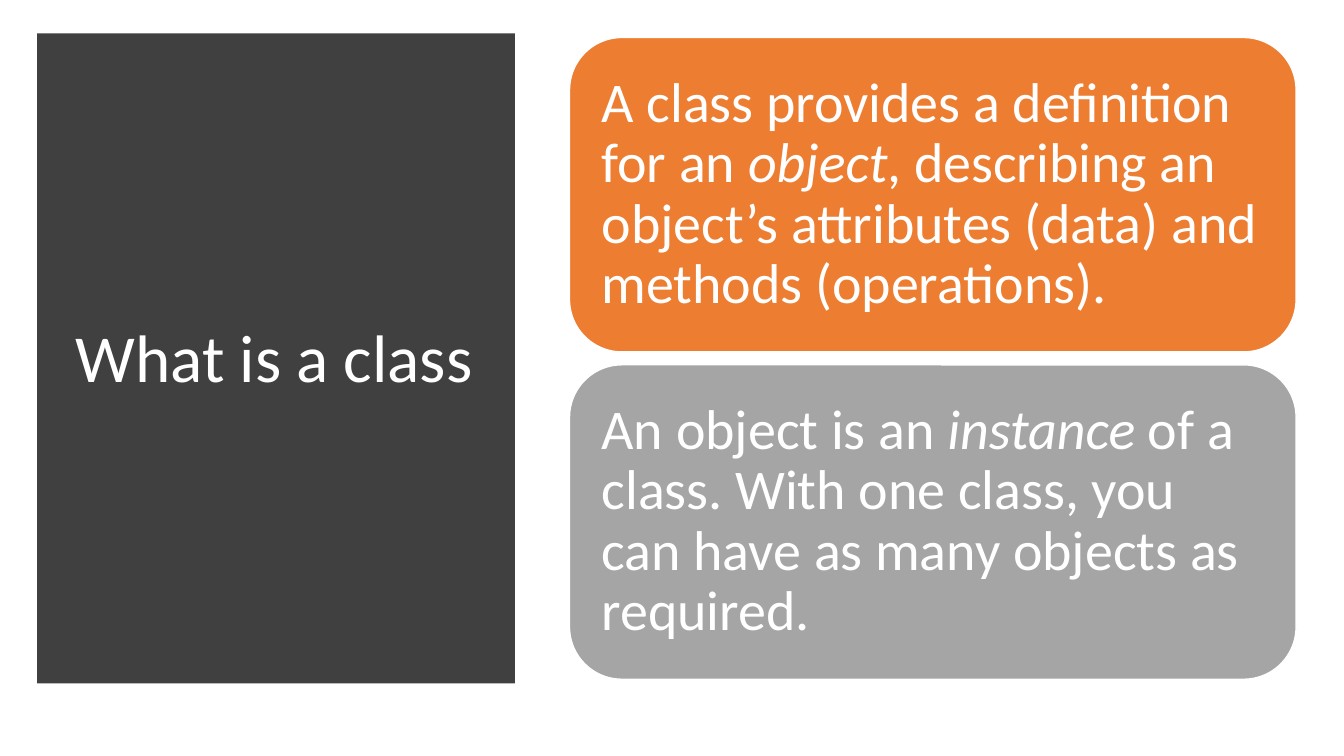
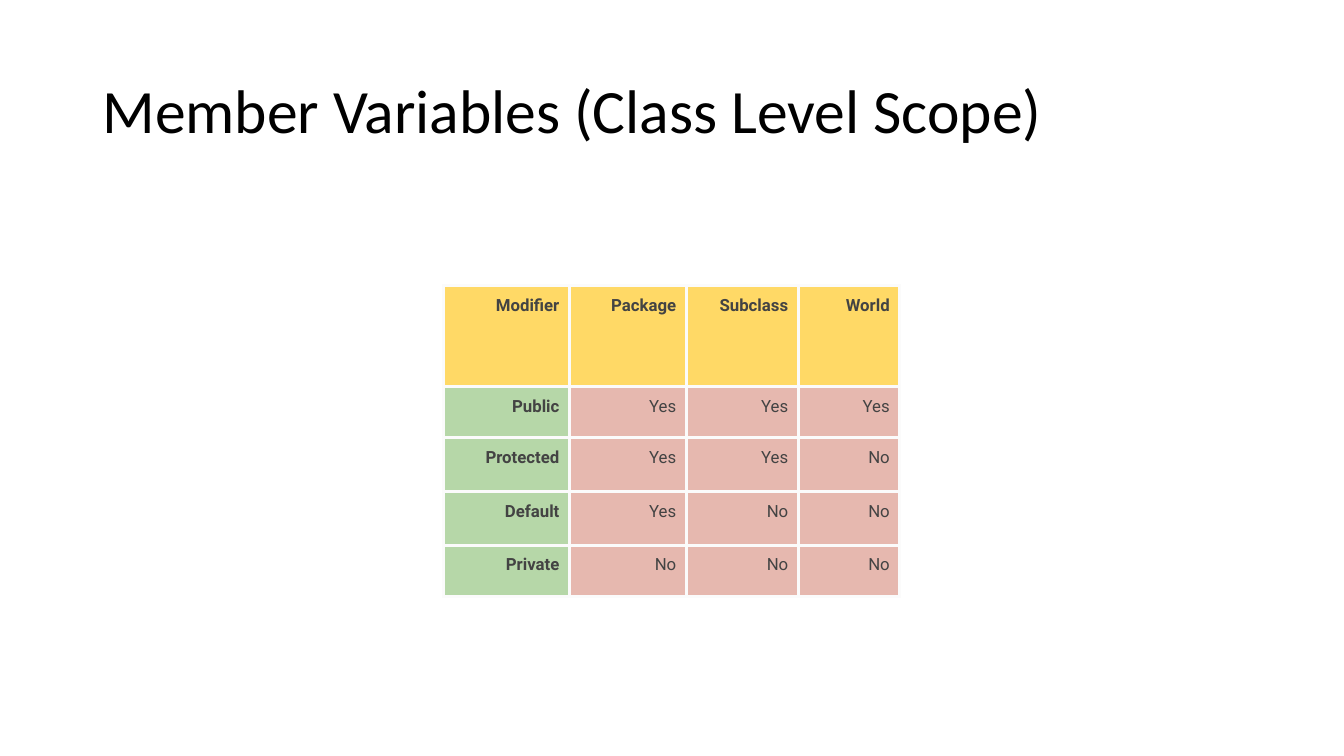
from pptx import Presentation
from pptx.dml.color import RGBColor
from pptx.enum.shapes import MSO_SHAPE as Shape
from pptx.enum.text import MSO_ANCHOR as Anchor, MSO_AUTO_SIZE as AutoSize, PP_ALIGN as Align
from pptx.oxml import parse_xml
from pptx.oxml.ns import nsdecls
from pptx.util import Pt

WHITE, BLACK, CHARCOAL, INK = "FFFFFF", "000000", "404040", "434343"
ORANGE, GREY = "ED7D31", "A5A5A5"
YELLOW, GREEN, PINK, BORDER = "FFD966", "B6D7A8", "E6B8AF", "FBFBFB"


def color(value):
    return RGBColor.from_string(value)


def titled_slide(text, box, size, ink):
    slide = deck.slides.add_slide(deck.slide_layouts[5])
    title = slide.shapes.title
    title.left, title.top, title.width, title.height = map(Pt, box)
    frame = title.text_frame
    frame.text = text
    frame.word_wrap = True
    frame.auto_size = AutoSize.NONE
    frame.vertical_anchor = Anchor.MIDDLE
    heading = frame.paragraphs[0]
    heading.alignment = Align.LEFT
    heading.line_spacing = 0.9
    heading.font.name = "Calibri"
    heading.font.size = Pt(size)
    heading.font.color.rgb = color(ink)
    return slide


deck = Presentation()
deck.slide_width, deck.slide_height = Pt(960), Pt(540)

class_slide = titled_slide("What is a class", (46.8, 50.4, 299.5, 414), 48, WHITE)
band = class_slide.shapes.add_shape(Shape.RECTANGLE, Pt(26.6), Pt(23.8), Pt(341.3), Pt(464.4))
band.shadow.inherit = False
band.fill.solid()
band.fill.fore_color.rgb = color(CHARCOAL)
band.line.color.rgb = color(CHARCOAL)
band.line.width = Pt(10)
band.line.fill.background()
class_slide.shapes.title.element.addprevious(band.element)

statements = [
    (ORANGE, "A class provides a definition for an ", "object",
     ", describing an object’s attributes (data) and methods (operations)."),
    (GREY, "An object is an ", "instance",
     " of a class. With one class, you can have as many objects as required."),
]
for index, (card_fill, before, term, after) in enumerate(statements):
    card = class_slide.shapes.add_shape(
        Shape.ROUNDED_RECTANGLE, Pt(406.8), Pt(26.8 + 233.8 * index), Pt(519), Pt(224.6))
    card.shadow.inherit = False
    card.fill.solid()
    card.fill.fore_color.rgb = color(card_fill)
    card.line.color.rgb = color(WHITE)
    card.line.width = Pt(1)
    frame = card.text_frame
    frame.word_wrap = True
    frame.vertical_anchor = Anchor.MIDDLE
    frame.margin_left = frame.margin_right = frame.margin_top = frame.margin_bottom = Pt(12)
    statement = frame.paragraphs[0]
    statement.alignment = Align.LEFT
    statement.line_spacing = 0.9
    statement.font.name = "Calibri"
    statement.font.size = Pt(40)
    statement.font.color.rgb = color(WHITE)
    for part in (before, term, after):
        run = statement.add_run()
        run.text = part
        if part == term:
            run.font.italic = True

scope_slide = titled_slide("Member Variables (Class Level Scope)", (66, 28.8, 828, 104.4), 44, BLACK)
access = [
    ("Modifier", "Package", "Subclass", "World"),
    ("Public", "Yes", "Yes", "Yes"),
    ("Protected", "Yes", "Yes", "No"),
    ("Default", "Yes", "No", "No"),
    ("Private", "No", "No", "No"),
]
column_widths = (90, 83.5, 80, 72.5)
row_heights = (72, 36.5, 38.5, 38.5, 36.5)
access_table = scope_slide.shapes.add_table(
    len(row_heights), len(column_widths), Pt(316.8), Pt(204),
    Pt(sum(column_widths)), Pt(sum(row_heights))).table
for column, width in zip(access_table.columns, column_widths):
    column.width = Pt(width)
for row, height in zip(access_table.rows, row_heights):
    row.height = Pt(height)

for row_index, labels in enumerate(access):
    for column_index, label in enumerate(labels):
        cell = access_table.cell(row_index, column_index)
        cell.text = label
        cell.margin_left = cell.margin_right = cell.margin_top = cell.margin_bottom = Pt(7.2)
        properties = cell._tc.get_or_add_tcPr()
        for side in "LRTB":
            properties.append(parse_xml(
                f'<a:ln{side} {nsdecls("a")} w="{Pt(2.25)}"><a:solidFill>'
                f'<a:srgbClr val="{BORDER}"/></a:solidFill></a:ln{side}>'))
        cell.fill.solid()
        cell.fill.fore_color.rgb = color(
            YELLOW if row_index == 0 else GREEN if column_index == 0 else PINK)
        entry = cell.text_frame.paragraphs[0]
        entry.alignment = Align.RIGHT
        entry.font.name = "Roboto"
        entry.font.size = Pt(12)
        entry.font.bold = row_index == 0 or column_index == 0
        entry.font.color.rgb = color(INK)

deck.save("out.pptx")
